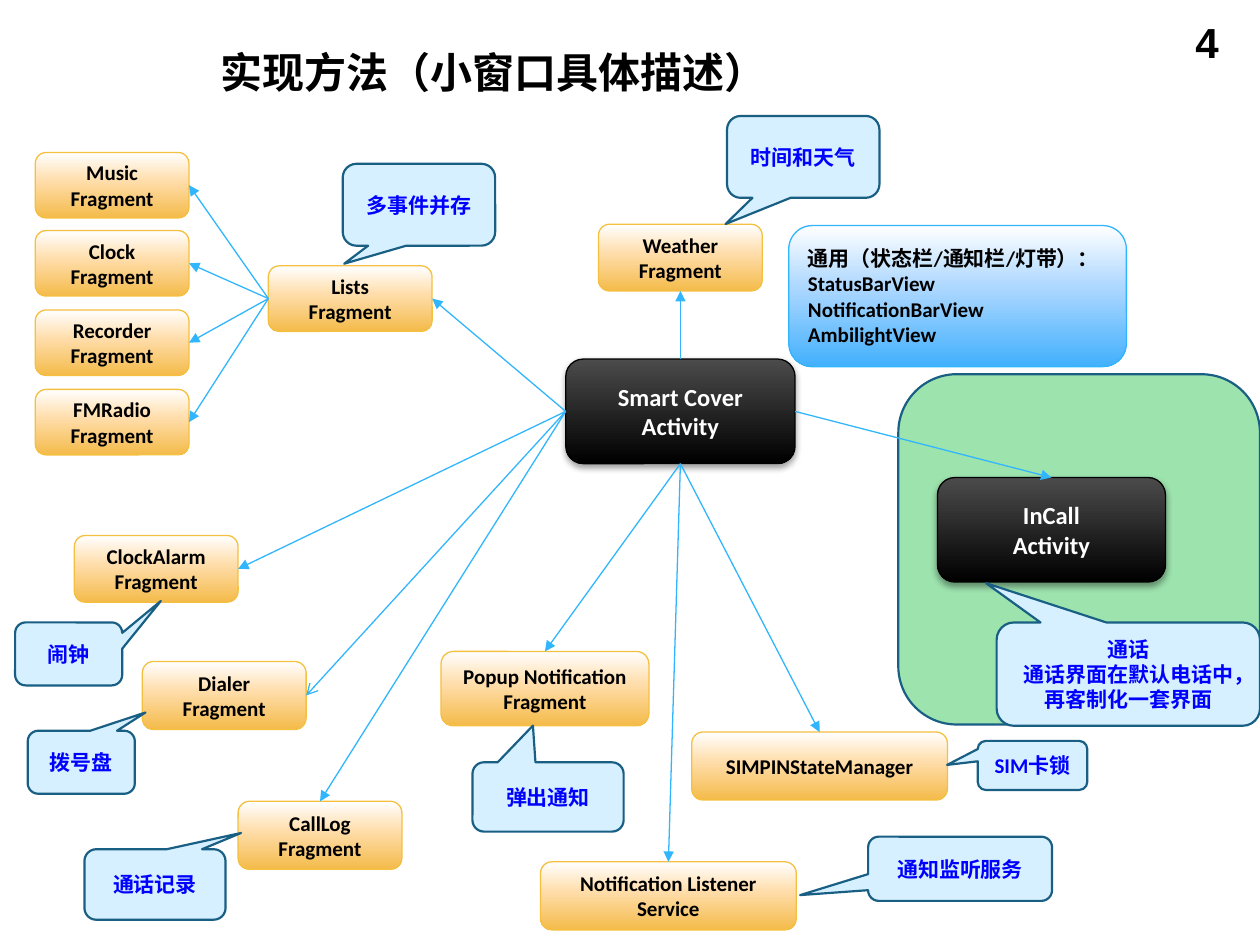
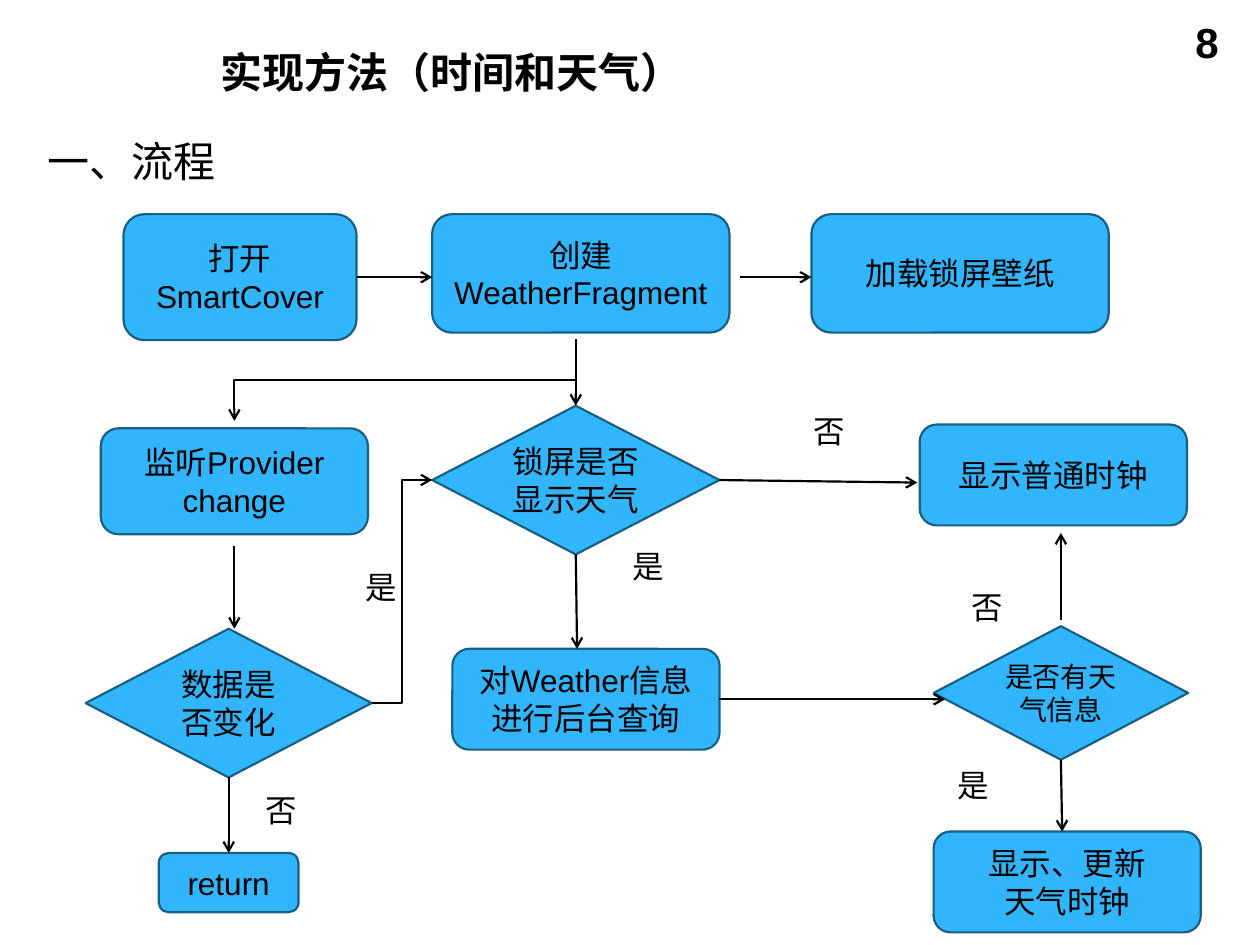
"""Builds two slides: the small-window fragments map and the weather flow chart."""
from lxml.etree import SubElement
from pptx import Presentation
from pptx.dml.color import RGBColor
from pptx.enum.shapes import MSO_CONNECTOR, MSO_SHAPE
from pptx.enum.text import MSO_ANCHOR, PP_ALIGN
from pptx.oxml.ns import qn
from pptx.util import Pt

PX = 9144
ROUND = MSO_SHAPE.ROUNDED_RECTANGLE
DIAMOND = MSO_SHAPE.DIAMOND
CALLOUT = MSO_SHAPE.ROUNDED_RECTANGULAR_CALLOUT
STRAIGHT, ELBOW = MSO_CONNECTOR.STRAIGHT, MSO_CONNECTOR.ELBOW
LEFT, CENTER, RIGHT = PP_ALIGN.LEFT, PP_ALIGN.CENTER, PP_ALIGN.RIGHT
TOP, MIDDLE = MSO_ANCHOR.TOP, MSO_ANCHOR.MIDDLE
TOP_SIDE, LEFT_SIDE, BOTTOM_SIDE, RIGHT_SIDE = range(4)

BLACK, WHITE, SKY, NAVY = "000000", "FFFFFF", "31B6FD", "195F84"
BOLD12 = {"name": "Calibri", "size": Pt(12), "bold": True}
BOLD14 = {**BOLD12, "size": Pt(14)}
BOLD24 = {**BOLD12, "size": Pt(24)}
PLAIN18 = {"name": "Arial", "size": Pt(18), "bold": False}

FRAGMENT = {"fill": [(0, WHITE), (44, "FFDDAA"), (100, "F4BB4A")],
            "line": "F5C040", "width": 0.75, "font": BOLD12}
COMMON = {"fill": [(0, WHITE), (44, "ACD7FF"), (100, "42B0FD")],
          "line": SKY, "width": 0.75, "font": BOLD12, "align": LEFT}
ACTIVITY = {"fill": [(0, "4B4B4B"), (100, BLACK)], "line": BLACK,
            "width": 0.75, "font": BOLD14, "color": WHITE, "shadow": True}
NOTE = {"fill": "D6F0FF", "line": NAVY, "width": 1.25, "font": BOLD12,
        "color": "0000FF"}
PHONE = {"fill": "9DE3AE", "line": NAVY, "width": 1.25}
STEP = {"fill": SKY, "line": NAVY, "width": 1.25, "font": PLAIN18}
DECISION = {**STEP, "margins": {"margin_left": 0, "margin_right": 0,
                                "margin_top": 0, "margin_bottom": 0}}
SMALL_DECISION = {**DECISION, "font": {**PLAIN18, "size": Pt(16)}}
TITLE = {"font": BOLD24, "align": LEFT}
NUMBER = {"font": {**BOLD24, "name": "Arial"}, "align": RIGHT, "anchor": TOP}
HEADING = {"font": {**BOLD24, "bold": False}, "align": LEFT, "anchor": TOP}
LABEL = {"font": PLAIN18, "align": LEFT, "anchor": TOP}


def add_box(s, kind, at, text, style):
    at = [v * PX for v in at]
    if kind is None:
        sp = s.shapes.add_textbox(*at)
    else:
        sp = s.shapes.add_shape(kind, *at)
        sp.shadow.inherit = False
        fill = style["fill"]
        if isinstance(fill, str):
            sp.fill.solid()
            sp.fill.fore_color.rgb = RGBColor.from_string(fill)
        else:
            sp.fill.gradient()
            sp.fill.gradient_angle = 270
            stops = sp._element.spPr.find(".//" + qn("a:gsLst"))
            for gs in list(stops):
                stops.remove(gs)
            for pos, color in fill:
                gs = SubElement(stops, qn("a:gs"), pos=str(pos * 1000))
                SubElement(gs, qn("a:srgbClr"), val=color)
        sp.line.color.rgb = RGBColor.from_string(style["line"])
        sp.line.width = Pt(style["width"])
        if style.get("shadow"):
            effects = sp._element.spPr.find(qn("a:effectLst"))
            shade = SubElement(effects, qn("a:outerShdw"), blurRad="50800",
                               dist="25400", dir="5400000", rotWithShape="0")
            color = SubElement(shade, qn("a:srgbClr"), val=BLACK)
            SubElement(color, qn("a:alpha"), val="38000")
    tf = sp.text_frame
    tf.word_wrap = True
    tf.vertical_anchor = style.get("anchor", MIDDLE)
    for name, value in style.get("margins", {}).items():
        setattr(tf, name, value)
    for i, line in enumerate(text.split("\n") if text else []):
        p = tf.add_paragraph() if i else tf.paragraphs[0]
        p.text = line
        p.alignment = style.get("align", CENTER)
        for r in p.runs:
            for name, value in style["font"].items():
                setattr(r.font, name, value)
            r.font.color.rgb = RGBColor.from_string(style.get("color", BLACK))
    return sp


def add_arrow(s, start, end, color, width, head="arrow", kind=STRAIGHT):
    free = [(0, 0) if hasattr(e[0], "shape_id") else e for e in (start, end)]
    c = s.shapes.add_connector(kind, *[v * PX for e in free for v in e])
    if free[0] != start:
        c.begin_connect(*start)
    if free[1] != end:
        c.end_connect(*end)
    c.line.color.rgb = RGBColor.from_string(color)
    c.line.width = Pt(width)
    SubElement(c.line._get_or_add_ln(), qn("a:tailEnd"), type=head)
    SubElement(c._element.spPr, qn("a:effectLst"))
    return c


prs = Presentation()
prs.slide_width, prs.slide_height = 1000 * PX, 750 * PX
slides = []
for number, title in [("4", "实现方法（小窗口具体描述）"),
                      ("8", "实现方法（时间和天气）")]:
    s = prs.slides.add_slide(prs.slide_layouts[6])
    add_box(s, None, (744, 8, 233, 52), number, NUMBER)
    add_box(s, None, (165, 30, 785, 54), title, TITLE)
    slides.append(s)

s = slides[0]
add_box(s, ROUND, (713, 297, 287, 278), "", PHONE)
cover = add_box(s, ROUND, (449, 285, 182, 83), "Smart Cover\vActivity", ACTIVITY)
incall = add_box(s, ROUND, (744, 379, 181, 83), "InCall\vActivity", ACTIVITY)
add_box(s, ROUND, (626, 179, 268, 112),
        "通用（状态栏/通知栏/灯带）：\nStatusBarView\vNotificationBarView\vAmbilightView",
        COMMON)

lists = add_box(s, ROUND, (213, 211, 130, 52), "Lists\vFragment", FRAGMENT)
for i, name in enumerate(["Music", "Clock", "Recorder", "FMRadio"]):
    at = (28, 121 + 188 * i // 3, 122, 52)
    sp = add_box(s, ROUND, at, name + "\vFragment", FRAGMENT)
    add_arrow(s, (lists, LEFT_SIDE), (sp, RIGHT_SIDE), SKY, 0.75, "triangle")
add_arrow(s, (cover, LEFT_SIDE), (lists, RIGHT_SIDE), SKY, 0.75, "triangle")
add_arrow(s, (cover, RIGHT_SIDE), (incall, TOP_SIDE), SKY, 0.75, "triangle")

for at, text, side, target, head in [
    ((475, 178, 130, 53), "Weather\vFragment", TOP_SIDE, BOTTOM_SIDE, "triangle"),
    ((59, 425, 130, 53), "ClockAlarm\vFragment", LEFT_SIDE, RIGHT_SIDE, "triangle"),
    ((113, 525, 130, 54), "Dialer\vFragment", LEFT_SIDE, RIGHT_SIDE, "arrow"),
    ((189, 636, 130, 54), "CallLog\vFragment", LEFT_SIDE, TOP_SIDE, "triangle"),
    ((350, 517, 165, 59), "Popup Notification\vFragment", BOTTOM_SIDE, TOP_SIDE, "triangle"),
    ((429, 684, 203, 54), "Notification Listener Service", BOTTOM_SIDE, TOP_SIDE, "triangle"),
    ((549, 581, 203, 54), "SIMPINStateManager", BOTTOM_SIDE, TOP_SIDE, "triangle"),
]:
    sp = add_box(s, ROUND, at, text, FRAGMENT)
    add_arrow(s, (cover, side), (sp, target), SKY, 0.75, head)

for at, text, tip_x, tip_y in [
    ((577, 92, 121, 65), "时间和天气", -0.51, 0.82),
    ((272, 130, 121, 65), "多事件并存", -0.49, 0.72),
    ((12, 494, 85, 50), "闹钟", 0.86, -0.84),
    ((22, 580, 85, 50), "拨号盘", 0.6, -0.79),
    ((67, 674, 112, 56), "通话记录", 0.61, -0.73),
    ((375, 605, 120, 55), "弹出通知", -0.1, -1.03),
    ((689, 664, 146, 51), "通知监听服务", -0.87, 0.41),
    ((776, 588, 87, 39), "SIM卡锁", -0.78, -0.01),
    ((791, 494, 209, 82), "通话\n通话界面在默认电话中，再客制化一套界面", -0.54, -0.88),
]:
    sp = add_box(s, CALLOUT, at, text, NOTE)
    sp.adjustments[0], sp.adjustments[1] = tip_x, tip_y

s = slides[1]
add_box(s, None, (28, 103, 211, 50), "一、流程", HEADING)
open_cover = add_box(s, ROUND, (98, 170, 185, 100), "打开SmartCover", STEP)
shows = add_box(s, DIAMOND, (343, 322, 228, 118), "锁屏是否显示天气", DECISION)
has_info = add_box(s, DIAMOND, (741, 497, 202, 106), "是否有天气信息", SMALL_DECISION)
changed = add_box(s, DIAMOND, (68, 499, 227, 118), "数据是否变化", STEP)
back = add_box(s, ROUND, (126, 677, 111, 47), "return", STEP)
query = add_box(s, ROUND, (359, 515, 212, 80), "对Weather信息进行后台查询", STEP)
for at, text in [
    ((343, 170, 236, 94), "创建WeatherFragment"),
    ((644, 170, 236, 94), "加载锁屏壁纸"),
    ((730, 337, 212, 80), "显示普通时钟"),
    ((741, 660, 212, 80), "显示、更新\n天气时钟"),
    ((80, 340, 212, 84), "监听Provider change"),
]:
    add_box(s, ROUND, at, text, STEP)

for start, end in [
    ((open_cover, RIGHT_SIDE), (343, 220)),
    ((587, 220), (644, 220)),
    ((457, 269), (shows, TOP_SIDE)),
    ((shows, RIGHT_SIDE), (728, 383)),
    ((shows, BOTTOM_SIDE), (458, 515)),
    ((query, RIGHT_SIDE), (750, 555)),
    ((has_info, BOTTOM_SIDE), (843, 660)),
    ((842, 492), (842, 423)),
    ((186, 433), (186, 499)),
    ((changed, BOTTOM_SIDE), (back, TOP_SIDE)),
]:
    add_arrow(s, start, end, BLACK, 1.25)
add_arrow(s, (changed, RIGHT_SIDE), (shows, LEFT_SIDE), BLACK, 1.25, kind=ELBOW)
c = add_arrow(s, (289, 166), (354, 437), BLACK, 1.25, kind=ELBOW)
c._element.spPr.find(qn("a:xfrm")).set("rot", "5400000")

for at, text in [
    ((492, 429, 45, 40), "是"),
    ((280, 446, 45, 40), "是"),
    ((750, 603, 35, 40), "是"),
    ((201, 623, 49, 40), "否"),
    ((761, 462, 49, 40), "否"),
    ((636, 322, 49, 40), "否"),
]:
    add_box(s, None, at, text, LABEL)

prs.save("out.pptx")
